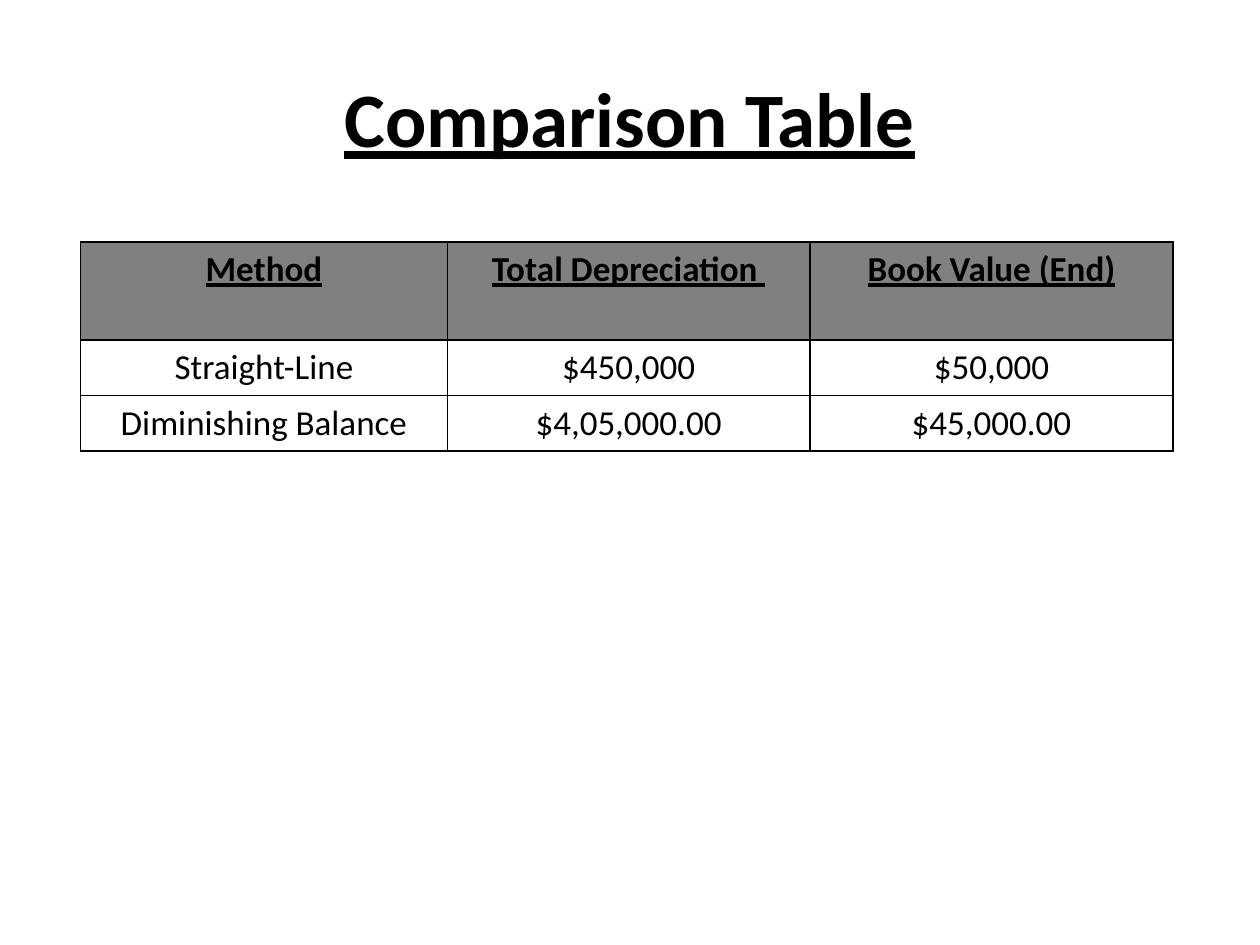
from lxml.etree import SubElement
from pptx import Presentation
from pptx.dml.color import RGBColor
from pptx.enum.text import MSO_ANCHOR, PP_ALIGN
from pptx.oxml.ns import qn
from pptx.util import Inches, Pt

BLACK = RGBColor(0x00, 0x00, 0x00)
GREY = RGBColor(0x80, 0x80, 0x80)

COLUMN_WIDTHS = [2.91, 2.88, 2.88]
ROW_HEIGHTS = [0.78, 0.44, 0.44]
METHODS = [
    ["Method", "Total Depreciation ", "Book Value (End)"],
    ["Straight-Line", "$450,000", "$50,000"],
    ["Diminishing Balance", "$4,05,000.00", "$45,000.00"],
]


class SlideBuilder:
    """Holds the text style and the slide being filled; places are shares of the slide."""

    font = "Calibri"
    title_size = Pt(44)
    cell_size = Pt(20)

    def __init__(self, prs):
        self.width, self.height = prs.slide_width, prs.slide_height
        self.slide = prs.slides.add_slide(prs.slide_layouts[6])

    def box(self, x, y, w, h):
        return (int(x * self.width), int(y * self.height),
                int(w * self.width), int(h * self.height))

    def set_text(self, tf, text, size, heading):
        """Centred text; headings are bold and underlined."""
        p = tf.paragraphs[0]
        p.text = text
        p.alignment = PP_ALIGN.CENTER
        p.font.name, p.font.size = self.font, size
        p.font.bold = p.font.underline = heading
        p.font.color.rgb = BLACK

    def title(self, text, *place):
        tf = self.slide.shapes.add_textbox(*self.box(*place)).text_frame
        tf.word_wrap = True
        tf.vertical_anchor = MSO_ANCHOR.MIDDLE
        self.set_text(tf, text, self.title_size, True)

    def borders(self, cell):
        tc_pr = cell._tc.get_or_add_tcPr()
        for side in ("a:lnL", "a:lnR", "a:lnT", "a:lnB"):
            ln = SubElement(tc_pr, qn(side), w=str(Pt(1)))
            fill = SubElement(ln, qn("a:solidFill"))
            SubElement(fill, qn("a:srgbClr"), val=str(BLACK))

    def table(self, rows, widths, heights, *place):
        frame = self.slide.shapes.add_table(len(rows), len(widths), *self.box(*place))
        table = frame.table
        table.first_row = table.horz_banding = False
        for column, width in zip(table.columns, widths):
            column.width = Inches(width)
        for i, (row, height) in enumerate(zip(table.rows, heights)):
            row.height = Inches(height)
            for cell, text in zip(row.cells, rows[i]):
                self.set_text(cell.text_frame, text, self.cell_size, i == 0)
                self.borders(cell)
                if i == 0:
                    cell.fill.solid()
                    cell.fill.fore_color.rgb = GREY
                else:
                    cell.fill.background()


def main():
    prs = Presentation()
    prs.slide_width, prs.slide_height = Inches(10), Inches(7.5)
    s = SlideBuilder(prs)
    s.title("Comparison Table", 0.05, 0.04, 0.9, 1 / 6)
    s.table(METHODS, COLUMN_WIDTHS, ROW_HEIGHTS, 0.064, 0.256, 0.867, 0.22)
    prs.save("out.pptx")


if __name__ == "__main__":
    main()
